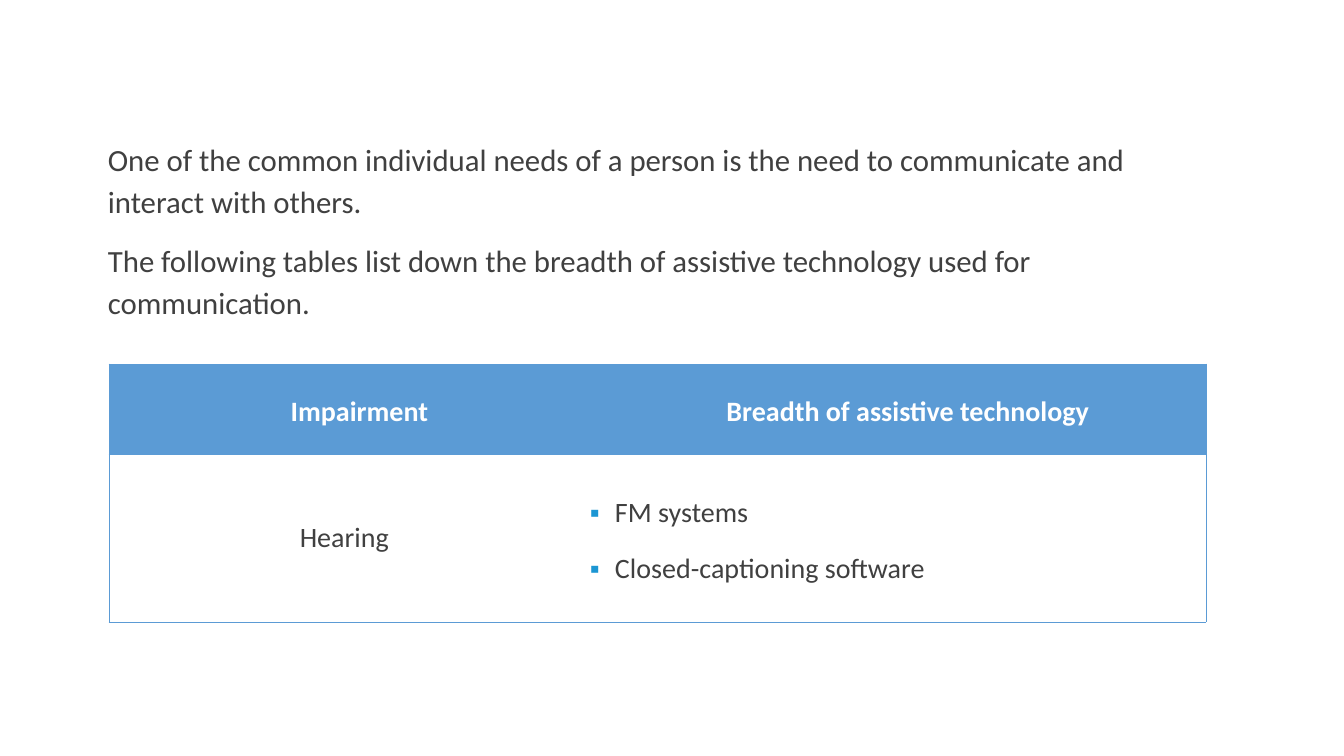
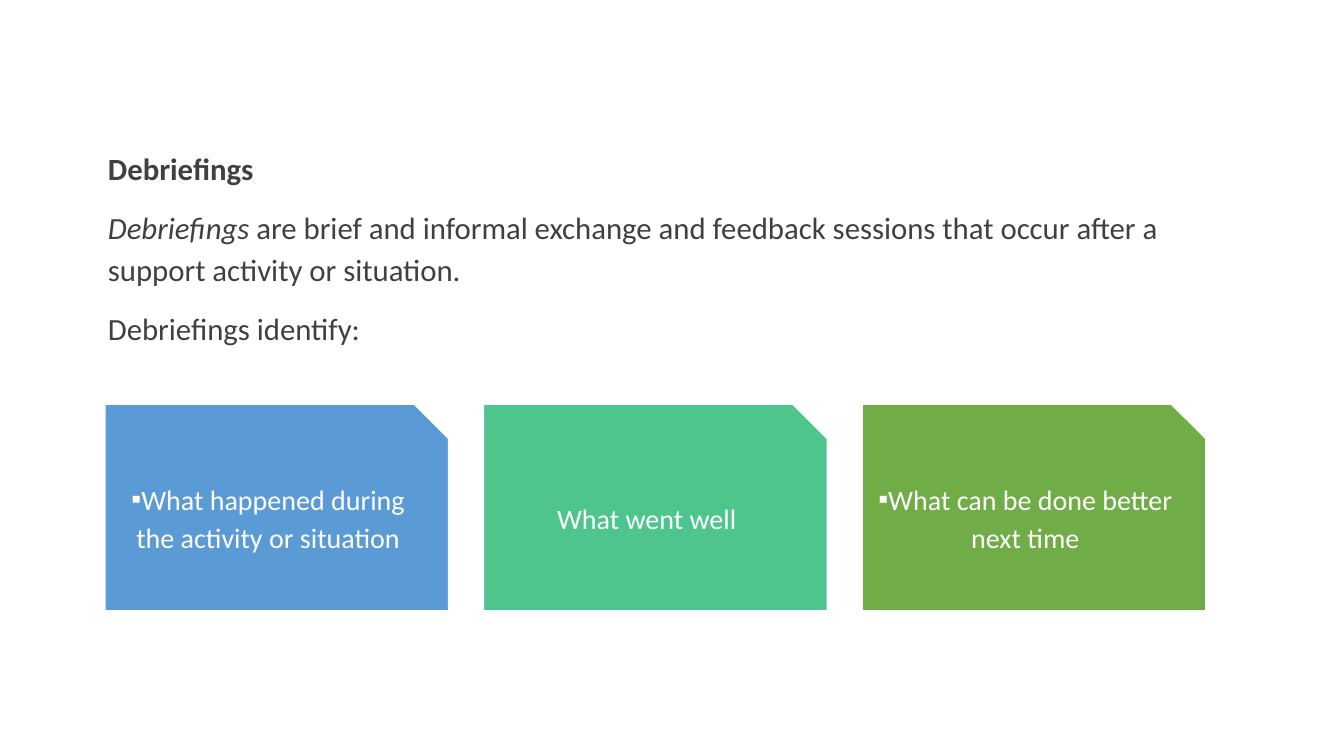
from lxml.etree import SubElement
from pptx import Presentation
from pptx.dml.color import RGBColor
from pptx.enum.shapes import MSO_SHAPE as Shape
from pptx.enum.text import MSO_ANCHOR as Anchor, MSO_AUTO_SIZE as AutoSize, PP_ALIGN as Align
from pptx.oxml.ns import qn
from pptx.util import Inches, Pt

COLORS = {
    "text": "404040",
    "white": "FFFFFF",
    "blue": "5B9BD5",
    "mint": "4DC58D",
    "green": "70AD47",
    "bullet": "1C96D3",
}
FONT = "Calibri"
NO_TABLE_STYLE = "{2D5ABB26-0587-4C30-8999-92F81FD0307C}"


def color(name):
    return RGBColor.from_string(COLORS[name])


def write(frame, text, lead="", size=20, tint="text", bold=False, align=Align.LEFT,
          spacing=1.14, before=6, after=6, margin=0, indent=0, bullet=None):
    first = not frame.paragraphs[0].runs
    paragraph = frame.paragraphs[0] if first else frame.add_paragraph()
    paragraph.alignment = align
    paragraph.line_spacing = spacing
    paragraph.space_before = Pt(0 if first else before)
    paragraph.space_after = Pt(after)
    properties = paragraph._p.get_or_add_pPr()
    properties.set("marL", str(Inches(margin)))
    properties.set("indent", str(Inches(indent)))
    if bullet:
        bullet_color = SubElement(properties, qn("a:buClr"))
        SubElement(bullet_color, qn("a:srgbClr"), val=COLORS[bullet])
        SubElement(properties, qn("a:buFont"), typeface="Arial")
        SubElement(properties, qn("a:buChar"), char="▪")
    else:
        SubElement(properties, qn("a:buNone"))
    for content, italic in ((lead, True), (text, False)):
        if content:
            run = paragraph.add_run()
            run.text = content
            run.font.name = FONT
            run.font.size = Pt(size)
            run.font.bold = bold
            run.font.italic = italic
            run.font.color.rgb = color(tint)


presentation = Presentation()
presentation.slide_width = Inches(13.33)
presentation.slide_height = Inches(7.5)

slides = [
    (1.29, [
        {"text": "One of the common individual needs of a person is the need to "
                 "communicate and interact with others."},
        {"text": "The following tables list down the breadth of assistive technology "
                 "used for communication."},
    ]),
    (1.38, [
        {"text": "Debriefings", "bold": True},
        {"lead": "Debriefings", "text": " are brief and informal exchange and feedback "
                                        "sessions that occur after a support activity or situation."},
        {"text": "Debriefings identify:"},
    ]),
]
for top, paragraphs in slides:
    slide = presentation.slides.add_slide(presentation.slide_layouts[1])
    title = slide.shapes.title._element
    title.getparent().remove(title)
    body = slide.placeholders[1]
    body.left, body.top = Inches(0.97), Inches(top)
    body.width, body.height = Inches(11.03), Inches(2.3)
    body.text_frame.auto_size = AutoSize.NONE
    body.text_frame.vertical_anchor = Anchor.TOP
    for paragraph_format in paragraphs:
        write(body.text_frame, size=22, **paragraph_format)

table_slide, cards_slide = presentation.slides

table = table_slide.shapes.add_table(
    2, 2, Inches(1.08), Inches(3.61), Inches(10.88), Inches(2.56)).table
table.horz_banding = False
table._tbl.tblPr.find(qn("a:tableStyleId")).text = NO_TABLE_STYLE
for column, width in zip(table.columns, (4.67, 6.21)):
    column.width = Inches(width)
for row, height in zip(table.rows, (0.9, 1.66)):
    row.height = Inches(height)

header = {"tint": "white", "bold": True, "align": Align.CENTER, "spacing": 1.15,
          "margin": 0.55, "indent": -0.25}
hearing = {"align": Align.CENTER, "spacing": 1.0, "after": 0}
listed = {"margin": 0.25, "indent": -0.25, "bullet": "bullet"}
cells = [
    [(["Impairment"], header), (["Breadth of assistive technology"], header)],
    [(["Hearing"], hearing), (["FM systems", "Closed-captioning software"], listed)],
]
for row_index, row in enumerate(cells):
    for column_index, (texts, text_format) in enumerate(row):
        cell = table.cell(row_index, column_index)
        cell.vertical_anchor = Anchor.MIDDLE
        cell_properties = cell._tc.get_or_add_tcPr()
        for edge in ("lnR" if column_index else "lnL", "lnT", "lnB"):
            border = SubElement(cell_properties, qn(f"a:{edge}"), w=str(Pt(0.5)))
            border_fill = SubElement(border, qn("a:solidFill"))
            SubElement(border_fill, qn("a:srgbClr"), val=COLORS["blue"])
        if row_index == 0:
            cell.margin_left = cell.margin_right = Inches(0.07)
            cell.margin_top = cell.margin_bottom = 0
            cell.fill.solid()
            cell.fill.fore_color.rgb = color("blue")
        else:
            cell.fill.background()
        for text in texts:
            write(cell.text_frame, text, **text_format)

cards = [
    ("What happened during the activity or situation", "blue", "white"),
    ("What went well", "mint", None),
    ("What can be done better next time", "green", "white"),
]
cards_left, cards_right, card_width = 1.04, 11.96, 3.41
card_step = (cards_right - cards_left - card_width) / (len(cards) - 1)
for index, (text, fill, bullet) in enumerate(cards):
    card = cards_slide.shapes.add_shape(
        Shape.SNIP_1_RECTANGLE, Inches(cards_left + index * card_step), Inches(4.01),
        Inches(card_width), Inches(2.05))
    card.shadow.inherit = False
    card.fill.solid()
    card.fill.fore_color.rgb = color(fill)
    card.line.color.rgb = color("white")
    card.line.width = Pt(1)
    frame = card.text_frame
    frame.word_wrap = True
    frame.vertical_anchor = Anchor.MIDDLE
    frame.margin_left = frame.margin_right = Inches(0.08)
    frame.margin_top = frame.margin_bottom = Inches(0.08)
    write(frame, text, tint="white", align=Align.CENTER, bullet=bullet)

presentation.save("out.pptx")
